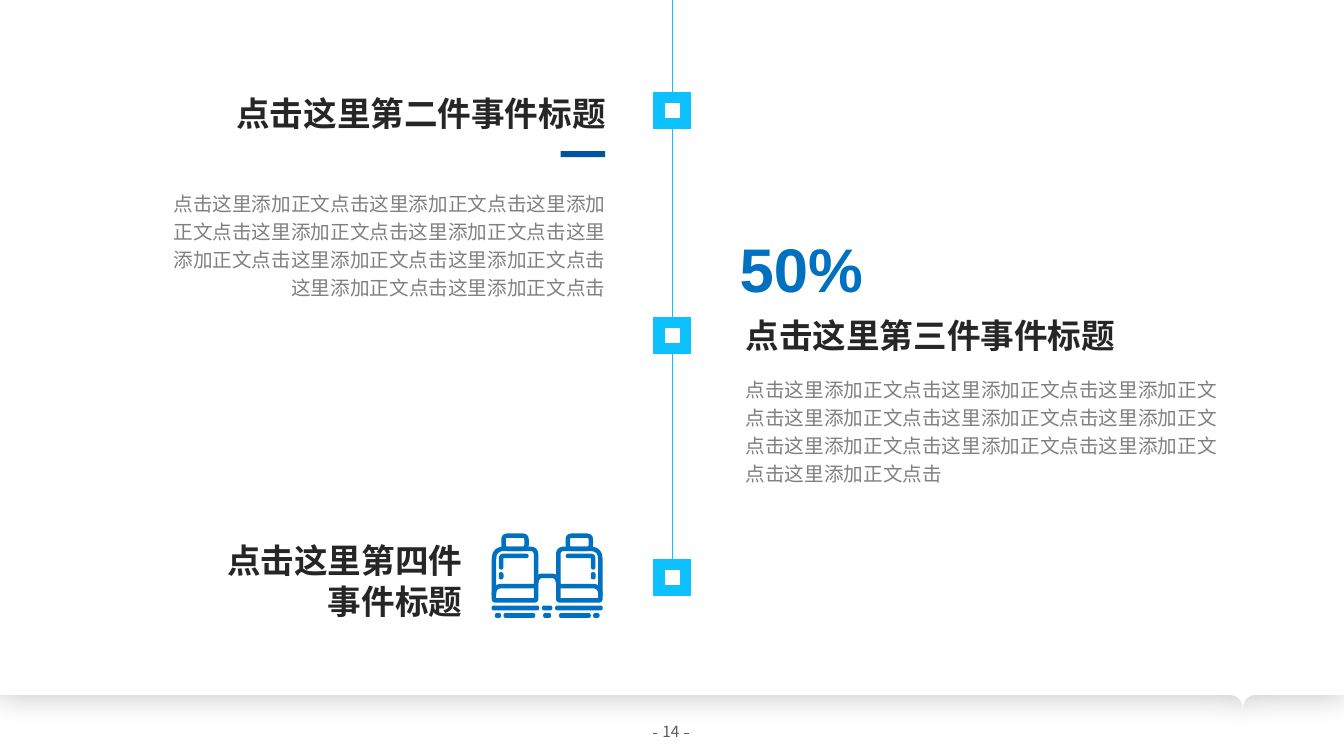
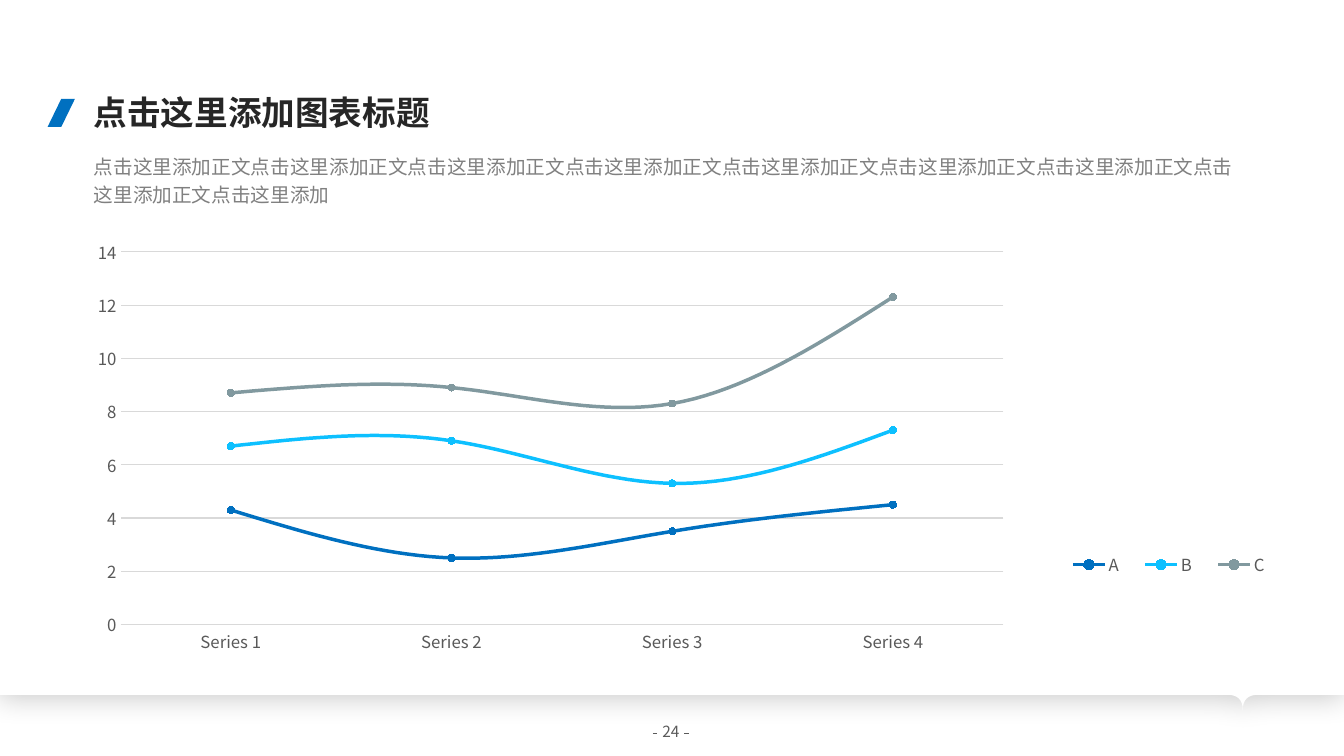
import dataclasses

import lxml.etree
import pptx
import pptx.chart.data
import pptx.dml.color
import pptx.enum.chart
import pptx.enum.shapes
import pptx.enum.text
import pptx.oxml.ns
import pptx.util

Cm = pptx.util.Cm
Pt = pptx.util.Pt
qn = pptx.oxml.ns.qn
Shapes = pptx.enum.shapes.MSO_SHAPE
Align = pptx.enum.text.PP_ALIGN


# Theme
@dataclasses.dataclass(frozen=True)
class TextStyle:
    size: int
    color: str
    bold: bool = False
    line_points: int = 0
    font: str = "Arial"


@dataclasses.dataclass(frozen=True)
class Theme:
    width: float = 33.87
    height: float = 19.05
    east_asian_font: str = "Noto Sans CJK SC"
    white: str = "FFFFFF"
    blue: str = "0070C0"
    dark_blue: str = "0055A2"
    cyan: str = "0DC0FF"
    slate: str = "81999F"
    page_gray: str = "5A5A5A"
    axis_gray: str = "595959"
    grid_gray: str = "D9D9D9"
    chart_size: int = 12
    title: TextStyle = TextStyle(24, "262626", bold=True)
    body: TextStyle = TextStyle(14, "808080", line_points=20)
    figure: TextStyle = TextStyle(44, "0070C0", bold=True)
    page: TextStyle = TextStyle(11, "5A5A5A", font="Noto Sans CJK SC")


THEME = Theme()
BODY_PHRASE = "点击这里添加正文"


def rgb(color):
    return pptx.dml.color.RGBColor.from_string(color)


# Text
def write_text(shape, box, text, style, alignment=Align.LEFT):
    shape.left, shape.top, shape.width, shape.height = map(Cm, box)
    frame = shape.text_frame
    frame.word_wrap = True
    frame.auto_size = pptx.enum.text.MSO_AUTO_SIZE.NONE
    frame.vertical_anchor = pptx.enum.text.MSO_ANCHOR.TOP
    paragraph = frame.paragraphs[0]
    paragraph.alignment = alignment
    paragraph.space_before = Pt(0)
    if style.line_points:
        paragraph.line_spacing = Pt(style.line_points)
    properties = paragraph._p.get_or_add_pPr()
    properties.set("marL", "0")
    properties.set("indent", "0")
    lxml.etree.SubElement(properties, qn("a:buNone"))
    run = paragraph.add_run()
    run.text = text
    font = run.font
    font.name, font.size, font.bold = style.font, Pt(style.size), style.bold
    font.color.rgb = rgb(style.color)
    east_asian = lxml.etree.SubElement(run._r.get_or_add_rPr(), qn("a:ea"))
    east_asian.set("typeface", THEME.east_asian_font)


def add_text(slide, box, text, style, alignment=Align.LEFT):
    shape = slide.shapes.add_textbox(*map(Cm, box))
    write_text(shape, box, text, style, alignment)


# Shapes and lines
def paint(shape, fill=None, line=None, line_points=0.5):
    shape.shadow.inherit = False
    if fill:
        shape.fill.solid()
        shape.fill.fore_color.rgb = rgb(fill)
    else:
        shape.fill.background()
    if line:
        shape.line.color.rgb = rgb(line)
        shape.line.width = Pt(line_points)
    else:
        shape.line.fill.background()


def add_block(slide, kind, box, fill, line=None, line_points=0.5):
    shape = slide.shapes.add_shape(kind, *map(Cm, box))
    paint(shape, fill, line, line_points)
    if line:  # square corners
        outline = shape._element.spPr.find(qn("a:ln"))
        lxml.etree.SubElement(outline, qn("a:miter"), lim="800000")
    return shape


def add_line(shapes, start, end, color, points=0.5):
    line = shapes.add_connector(
        pptx.enum.shapes.MSO_CONNECTOR.STRAIGHT, *map(Cm, (*start, *end)))
    line.line.color.rgb = rgb(color)
    line.line.width = Pt(points)
    lxml.etree.SubElement(line._element.spPr, qn("a:effectLst"))
    return line


def toward(corner, target, distance):
    """Point at a distance from the corner on the way to the target."""
    dx, dy = target[0] - corner[0], target[1] - corner[1]
    share = min(1, distance / (dx * dx + dy * dy) ** 0.5)
    return corner[0] + dx * share, corner[1] + dy * share


def add_outline(shapes, corners, closed=True, steps=8):
    """Path through (x, y) or (x, y, radius) corners, in centimetres."""
    points = []
    for index, (x, y, *radius) in enumerate(corners):
        if not radius:
            points.append((x, y))
            continue
        start = toward((x, y), corners[index - 1], radius[0])
        end = toward((x, y), corners[(index + 1) % len(corners)], radius[0])
        for step in range(steps + 1):
            t = step / steps
            points.append(tuple(
                (1 - t) ** 2 * a + 2 * t * (1 - t) * b + t * t * c
                for a, b, c in zip(start, (x, y), end)))
    points = [(Cm(x), Cm(y)) for x, y in points]
    builder = shapes.build_freeform(*points[0])
    builder.add_line_segments(points[1:], close=closed)
    return builder.convert_to_shape()


# Shared frame, kept on the slide master
def add_master_frame(presentation, slide):
    edge, notch, tip, radius = 17.51, 31.32, 17.93, 0.38
    panel = add_outline(slide.shapes, [
        (0, 0), (THEME.width, 0), (THEME.width, edge), (notch, edge, radius),
        (notch, tip), (notch, edge, radius), (0, edge)])
    paint(panel, THEME.white)
    effects = panel._element.spPr.find(qn("a:effectLst"))
    shadow = lxml.etree.SubElement(
        effects, qn("a:outerShdw"), blurRad=str(Pt(20)), dist=str(Pt(3)),
        dir="5400000", algn="t", rotWithShape="0")
    color = lxml.etree.SubElement(shadow, qn("a:srgbClr"), val="000000")
    lxml.etree.SubElement(color, qn("a:alpha"), val="20000")
    dashes = [add_line(slide.shapes, (left, 18.47), (left + 0.11, 18.47),
                       THEME.page_gray) for left in (16.45, 17.25)]
    tree = presentation.slide_master.shapes._spTree
    for offset, shape in enumerate([panel, *dashes]):
        shape._element.xpath(".//p:cNvPr")[0].set("id", str(100 + offset))
        tree.insert(2 + offset, shape._element)


def add_page_number(slide, number):
    add_text(slide, (16.06, 18.06, 1.7, 0.74), str(number), THEME.page,
             Align.CENTER)


# Binoculars icon
def add_binoculars(slide, center, top):
    shapes = slide.shapes.add_group_shape().shapes
    half_stroke = 0.06

    def stroke(corners, side=1, closed=False):
        shape = add_outline(shapes, [(center - side * x, top + y, *radius)
                                     for x, y, *radius in corners], closed)
        paint(shape, line=THEME.blue, line_points=3.2)
        shape._element.spPr.find(qn("a:ln")).set("cap", "rnd")

    def pill(left, upper, right, lower, side=1):
        """Round-ended bar; left and right are distances from the center."""
        x1, x2 = (center - side * (left + half_stroke),
                  center - side * (right - half_stroke))
        y1, y2 = top + upper - half_stroke, top + lower + half_stroke
        shape = add_outline(shapes, [
            (x, y, half_stroke)
            for x, y in ((x1, y1), (x2, y1), (x2, y2), (x1, y2))])
        paint(shape, THEME.blue)

    cap = [(1.1, 0.06, 0.1), (0.52, 0.06, 0.1),
           (0.52, 0.39, 0.1), (1.1, 0.39, 0.1)]
    barrel = [(1.34, 0.39, 0.26), (0.28, 0.39, 0.15),
              (0.28, 1.69, 0.04), (1.34, 1.69, 0.04)]
    curves = [
        [(1.34, 1.55), (1.34, 1.33, 0.2), (0.28, 1.33)],
        [(1.16, 0.86), (1.16, 0.57, 0.06), (0.52, 0.57)],
    ]
    pills = [(1.16, 1.04, 1.16, 1.1), (1.34, 1.88, 0.26, 1.88),
             (1.04, 2.07, 0.36, 2.07), (1.26, 2.07, 1.22, 2.07)]
    for side in (1, -1):
        for corners in (cap, barrel):
            stroke(corners, side, closed=True)
        for corners in curves:
            stroke(corners, side)
        for bar in pills:
            pill(*bar, side)
    stroke([(0.28, 1.25), (0.23, 1.07, 0.12), (-0.23, 1.07, 0.12),
            (-0.28, 1.25)])
    pill(0.07, 1.88, -0.07, 1.88)
    pill(0.04, 2.07, -0.04, 2.07)


# Chart
def set_layout(parent, position, **values):
    for old in parent.findall(qn("c:layout")):
        parent.remove(old)
    layout = lxml.etree.Element(qn("c:layout"))
    manual = lxml.etree.SubElement(layout, qn("c:manualLayout"))
    for name, value in values.items():
        lxml.etree.SubElement(manual, qn("c:" + name), val=str(value))
    parent.insert(position, layout)


def add_line_chart(slide, box, categories, series_values, colors):
    data = pptx.chart.data.CategoryChartData()
    data.categories = categories
    for name, values in series_values.items():
        data.add_series(name, values)
    chart = slide.shapes.add_chart(
        pptx.enum.chart.XL_CHART_TYPE.LINE_MARKERS_STACKED,
        *map(Cm, box), data).chart
    chart.has_title = False
    chart.font.name = THEME.east_asian_font
    chart.font.size = Pt(THEME.chart_size)
    chart.font.color.rgb = rgb(THEME.axis_gray)
    plot = chart.plots[0]
    plot.vary_by_categories = False

    for series, color in zip(plot.series, colors):
        series.smooth = True
        series.format.line.color.rgb = rgb(color)
        series.format.line.width = Pt(2.5)
        marker = series.marker
        marker.style = pptx.enum.chart.XL_MARKER_STYLE.CIRCLE
        marker.size = 5
        marker.format.fill.solid()
        marker.format.fill.fore_color.rgb = rgb(color)
        marker.format.line.color.rgb = rgb(color)

    category_axis, value_axis = chart.category_axis, chart.value_axis
    for axis in (category_axis, value_axis):
        axis.major_tick_mark = pptx.enum.chart.XL_TICK_MARK.NONE
        axis.minor_tick_mark = pptx.enum.chart.XL_TICK_MARK.NONE
    value_axis.minimum_scale, value_axis.maximum_scale = 0, 14
    value_axis.major_unit = 2
    value_axis.format.line.fill.background()
    for line in (category_axis.format.line,
                 value_axis.major_gridlines.format.line):
        line.color.rgb = rgb(THEME.grid_gray)
        line.width = Pt(0.75)

    chart.has_legend = True
    chart.legend.position = pptx.enum.chart.XL_LEGEND_POSITION.BOTTOM
    chart.legend.include_in_layout = False
    set_layout(chart._chartSpace.chart.plotArea, 0, layoutTarget="inner",
               xMode="edge", yMode="edge", x=0.03, y=0.02, w=0.72, h=0.81)
    set_layout(chart.legend._element, 1, xMode="edge", yMode="edge",
               x=0.79, y=0.67, w=0.19, h=0.06)


# Slides
def build_timeline(slide):
    axis, node = 16.94, 0.66
    event_text = BODY_PHRASE * 10 + "点击"
    add_line(slide.shapes, (axis, 0), (axis, 14.48), THEME.cyan)
    for middle in (2.78, 8.46, 14.55):
        add_block(slide, Shapes.RECTANGLE,
                  (axis - node / 2, middle - node / 2, node, node),
                  THEME.white, THEME.cyan, 8)

    # Second event
    write_text(slide.shapes.title, (3.79, 2.21, 11.73, 1.27),
               "点击这里第二件事件标题", THEME.title, Align.RIGHT)
    add_block(slide, Shapes.RECTANGLE, (14.13, 3.81, 1.12, 0.15),
              THEME.dark_blue)
    write_text(slide.placeholders[1], (3.79, 4.6, 11.73, 3.1),
               event_text, THEME.body, Align.RIGHT)

    # Third event
    add_text(slide, (18.39, 5.69, 4, 2.13), "50%", THEME.figure)
    add_text(slide, (18.54, 7.8, 12.42, 1.27), "点击这里第三件事件标题",
             THEME.title)
    add_text(slide, (18.54, 9.28, 12.42, 3.1), event_text, THEME.body)

    # Fourth event
    add_text(slide, (5.17, 13.49, 6.73, 2.31), "点击这里第四件事件标题",
             THEME.title, Align.RIGHT)
    add_binoculars(slide, 13.79, 13.44)


def build_chart_slide(slide):
    mark = add_block(slide, Shapes.PARALLELOGRAM, (1.2, 2.49, 0.69, 0.71),
                     THEME.blue)
    mark.adjustments[0] = 0.5
    write_text(slide.shapes.title, (2.11, 2.18, 12.75, 1.27),
               "点击这里添加图表标题", THEME.title)
    write_text(slide.placeholders[1], (2.11, 3.66, 29.4, 1.6),
               BODY_PHRASE * 8 + "点击这里添加", THEME.body)
    add_line_chart(
        slide, (2.11, 6.03, 30.9, 11.68),
        [f"Series {number}" for number in range(1, 5)],
        {"A": (4.3, 2.5, 3.5, 4.5), "B": (2.4, 4.4, 1.8, 2.8),
         "C": (2, 2, 3, 5)},
        (THEME.blue, THEME.cyan, THEME.slate))


def main():
    presentation = pptx.Presentation()
    presentation.slide_width = Cm(THEME.width)
    presentation.slide_height = Cm(THEME.height)
    pages = ((14, build_timeline), (24, build_chart_slide))
    for number, build in pages:
        slide = presentation.slides.add_slide(presentation.slide_layouts[1])
        build(slide)
        add_page_number(slide, number)
    add_master_frame(presentation, presentation.slides[0])
    presentation.save("out.pptx")


if __name__ == "__main__":
    main()
